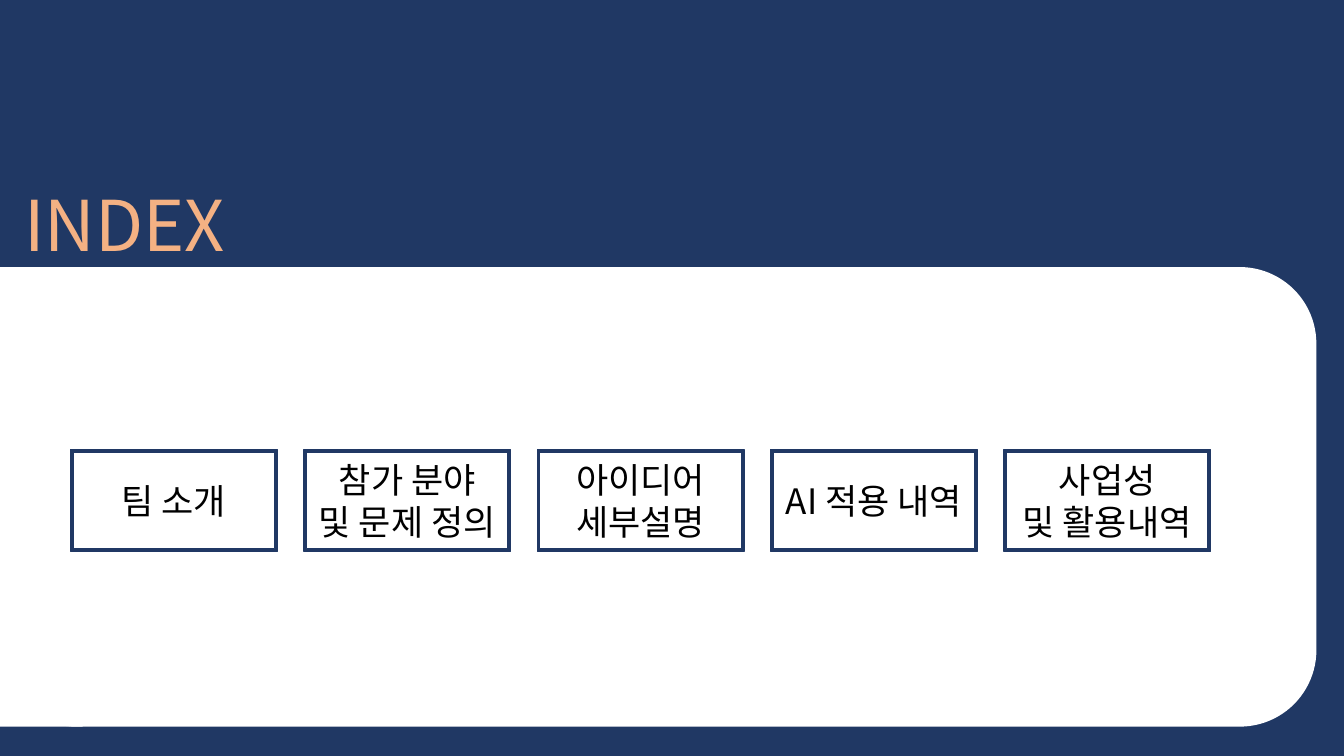
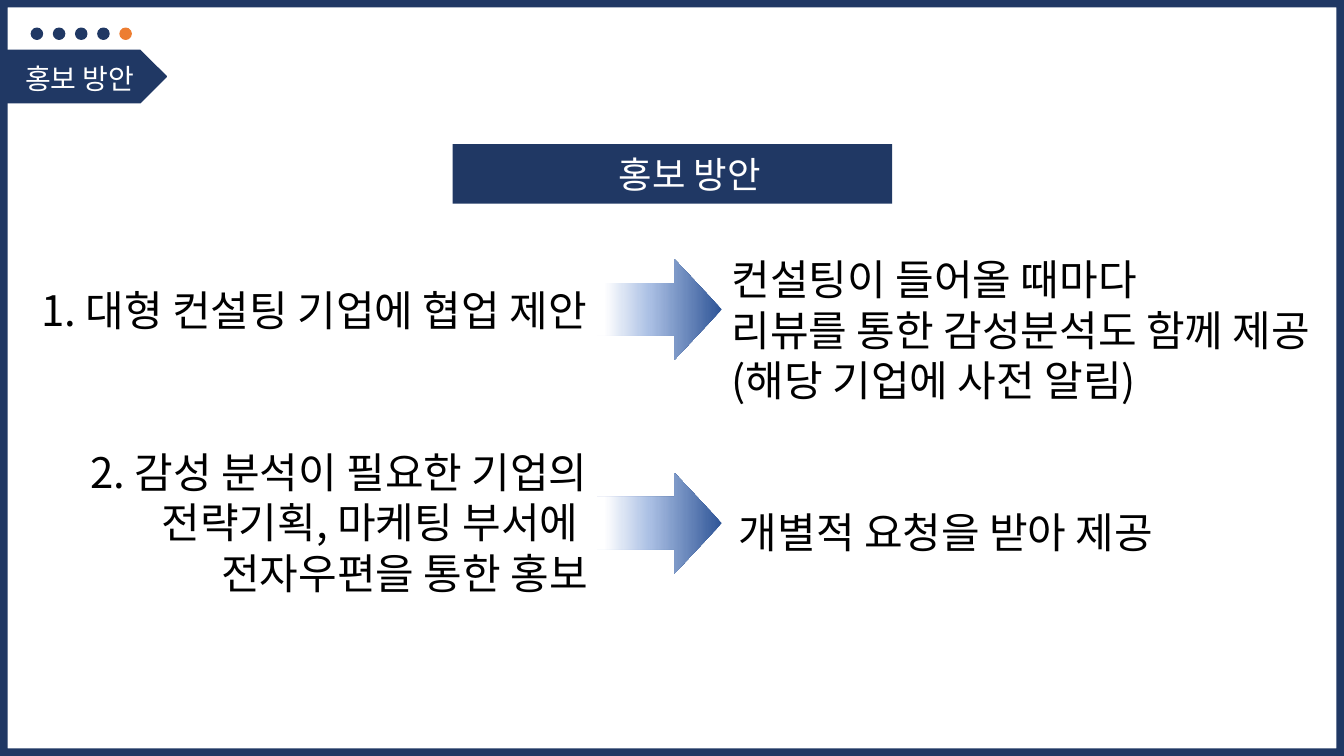
from copy import deepcopy
from dataclasses import dataclass
from typing import NamedTuple

from pptx import Presentation
from pptx.dml.color import RGBColor as RGB
from pptx.enum.shapes import MSO_SHAPE as Kind
from pptx.enum.text import MSO_ANCHOR as Anchor, MSO_AUTO_SIZE as Fit, PP_ALIGN as Align
from pptx.oxml.ns import qn
from pptx.shapes.autoshape import Shape
from pptx.slide import Slide
from pptx.util import Inches, Pt


@dataclass(frozen=True)
class Theme:
    font: str = "Noto Sans CJK KR"
    navy: str = "203864"
    peach: str = "F4B183"
    orange: str = "ED7D31"
    white: str = "FFFFFF"
    black: str = "000000"
    fade: tuple = ((0, "2F5597"), (0.58, "ABC0E4"), (0.94, "FFFFFF"))
    title: int = 50
    body: int = 30
    banner: int = 26
    card: int = 25
    tag: int = 20


class Box(NamedTuple):
    """Left, top, width and height in percent of the slide."""
    x: float
    y: float
    w: float
    h: float


class Note(NamedTuple):
    box: Box
    text: str
    size: int
    color: str
    align: Align = Align.LEFT


T = Theme()
WIDE, HIGH = Inches(13.33), Inches(7.5)

# Index cards
CARD = Box(5.25, 59.47, 15.38, 13.47)
CARD_STEP = 17.36
CARDS = ("팀 소개", "참가 분야\n및 문제 정의", "아이디어\n세부설명",
         "AI 적용 내역", "사업성\n및 활용내역")

# Progress dots
DOT = Box(2.33, 3.73, 0.83, 1.47)
DOT_STEP = 1.65
DOTS = 5

# Promotion plan
PLAN = "홍보 방안"
ARROW = Box(44.4, 34.27, 9.3, 13.33)
ARROW_STEP = 28.27
NOTES = (
    Note(Box(1.13, 7.47, 18.83, 5.87), PLAN, T.tag, T.white),
    Note(Box(2.33, 36.93, 42.9, 8.13), "1. 대형 컨설팅 기업에 협업 제안", T.body, T.black),
    Note(Box(2.7, 58.4, 41.78, 21.6),
         "2. 감성 분석이 필요한 기업의 전략기획, 마케팅 부서에 \n전자우편을 통한 홍보",
         T.body, T.black, Align.RIGHT),
    Note(Box(53.7, 32.93, 45.08, 21.6),
         "컨설팅이 들어올 때마다\n리뷰를 통한 감성분석도 함께 제공\n(해당 기업에 사전 알림)",
         T.body, T.black),
    Note(Box(54.23, 66.4, 35.55, 8.13), "개별적 요청을 받아 제공", T.body, T.black),
    Note(Box(45.3, 19.47, 14.33, 7.2), PLAN, T.banner, T.white),
)


def place(box: Box) -> tuple[int, ...]:
    return (int(WIDE * box.x / 100), int(HIGH * box.y / 100),
            int(WIDE * box.w / 100), int(HIGH * box.h / 100))


def shift(box: Box, dx: float = 0, dy: float = 0) -> Box:
    return box._replace(x=box.x + dx, y=box.y + dy)


def write(shape: Shape, text: str, size: int, color: str, align: Align) -> None:
    frame = shape.text_frame
    frame.word_wrap = True
    frame.text = text
    for para in frame.paragraphs:
        para.alignment = align
        for run in para.runs:
            run.font.size = Pt(size)
            run.font.name = T.font
            run.font.color.rgb = RGB.from_string(color)
            asian = run.font._element.makeelement(qn("a:ea"), {"typeface": T.font})
            run.font._element.find(qn("a:latin")).addnext(asian)


def draw(slide: Slide, kind: Kind, box: Box, fill: str = T.navy,
         edge: bool = False, adj: tuple = ()) -> Shape:
    shape = slide.shapes.add_shape(kind, *place(box))
    shape.shadow.inherit = False
    shape.fill.solid()
    shape.fill.fore_color.rgb = RGB.from_string(fill)
    if edge:
        shape.line.color.rgb = RGB.from_string(fill)
        shape.line.width = Pt(1)
    else:
        shape.line.fill.background()
    for i, value in enumerate(adj):
        shape.adjustments[i] = value
    return shape


def label(slide: Slide, note: Note) -> None:
    shape = slide.shapes.add_textbox(*place(note.box))
    write(shape, note.text, note.size, note.color, note.align)
    shape.text_frame.auto_size = Fit.SHAPE_TO_FIT_TEXT


def arrow(slide: Slide, box: Box) -> None:
    shape = draw(slide, Kind.RIGHT_ARROW, box, adj=(0.52, 0.47))
    shape.fill.gradient()
    shape.fill.gradient_angle = 180
    # A new gradient has two stops; add the third
    stops = shape._element.spPr.find(qn("a:gradFill")).find(qn("a:gsLst"))
    stops.append(deepcopy(stops[-1]))
    for stop, (pos, color) in zip(shape.fill.gradient_stops, T.fade):
        stop.position = pos
        stop.color.rgb = RGB.from_string(color)


def index(slide: Slide) -> None:
    # Navy ground, title and white panel with square left corners
    draw(slide, Kind.RECTANGLE, Box(0, 0, 100, 100), edge=True)
    label(slide, Note(Box(1.05, 23.33, 53.7, 16.67), "INDEX", T.title, T.peach))
    panel = Box(0, 35.33, 97.95, 60.8)
    draw(slide, Kind.ROUNDED_RECTANGLE, panel, T.white)
    draw(slide, Kind.RECTANGLE, panel._replace(w=6.15), T.white)
    # Cards
    for i, text in enumerate(CARDS):
        card = draw(slide, Kind.FRAME, shift(CARD, i * CARD_STEP), edge=True, adj=(0.025,))
        write(card, text, T.card, T.black, Align.CENTER)
        card.text_frame.vertical_anchor = Anchor.MIDDLE


def plan(slide: Slide) -> None:
    # Tag, border and progress dots
    draw(slide, Kind.PENTAGON, Box(0, 6.67, 12.38, 6.93), edge=True)
    draw(slide, Kind.FRAME, Box(0, 0, 100, 100), adj=(0.01,))
    for i in range(DOTS):
        color = T.orange if i == DOTS - 1 else T.navy
        draw(slide, Kind.OVAL, shift(DOT, i * DOT_STEP), color, edge=True)
    # Banner, arrows and wording
    draw(slide, Kind.RECTANGLE, Box(33.68, 19.07, 32.7, 7.87))
    for i in range(2):
        arrow(slide, shift(ARROW, dy=i * ARROW_STEP))
    for note in NOTES:
        label(slide, note)


def main() -> None:
    deck = Presentation()
    deck.slide_width, deck.slide_height = WIDE, HIGH
    for build in (index, plan):
        build(deck.slides.add_slide(deck.slide_layouts[6]))
    deck.save("out.pptx")


if __name__ == "__main__":
    main()
